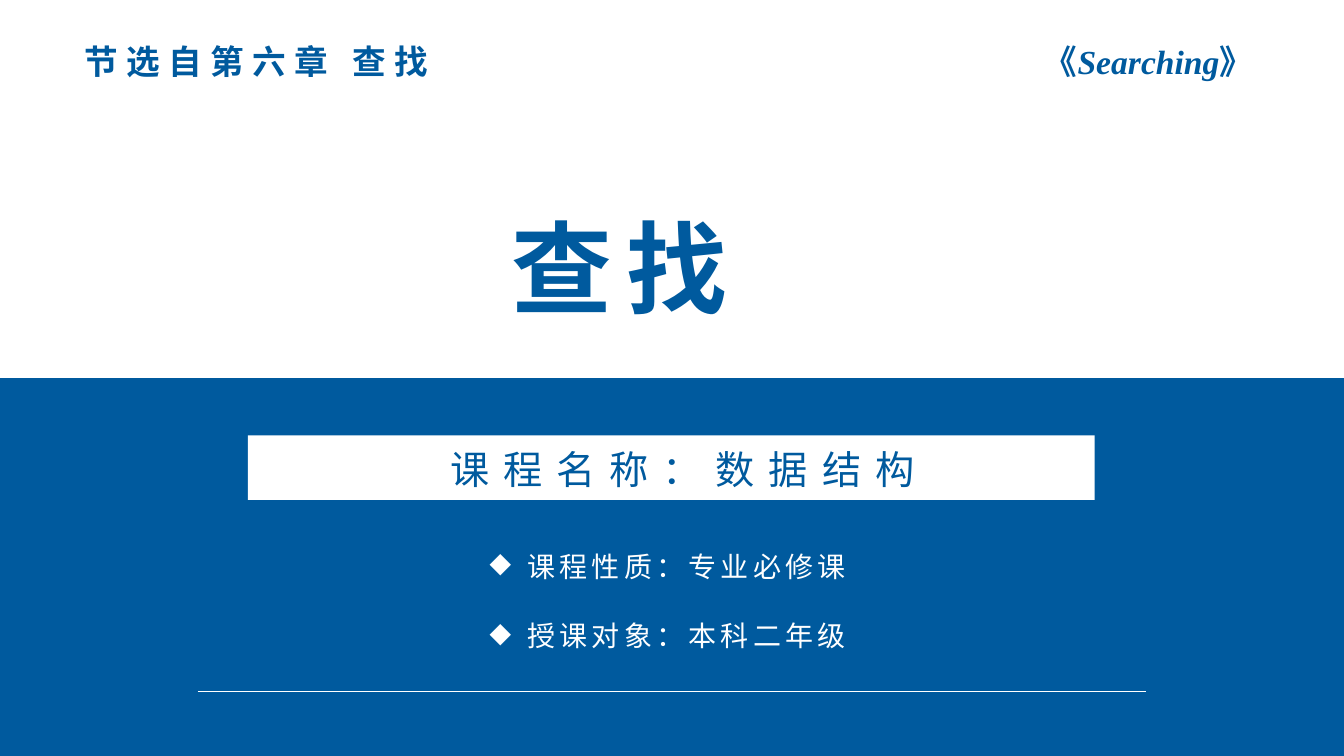
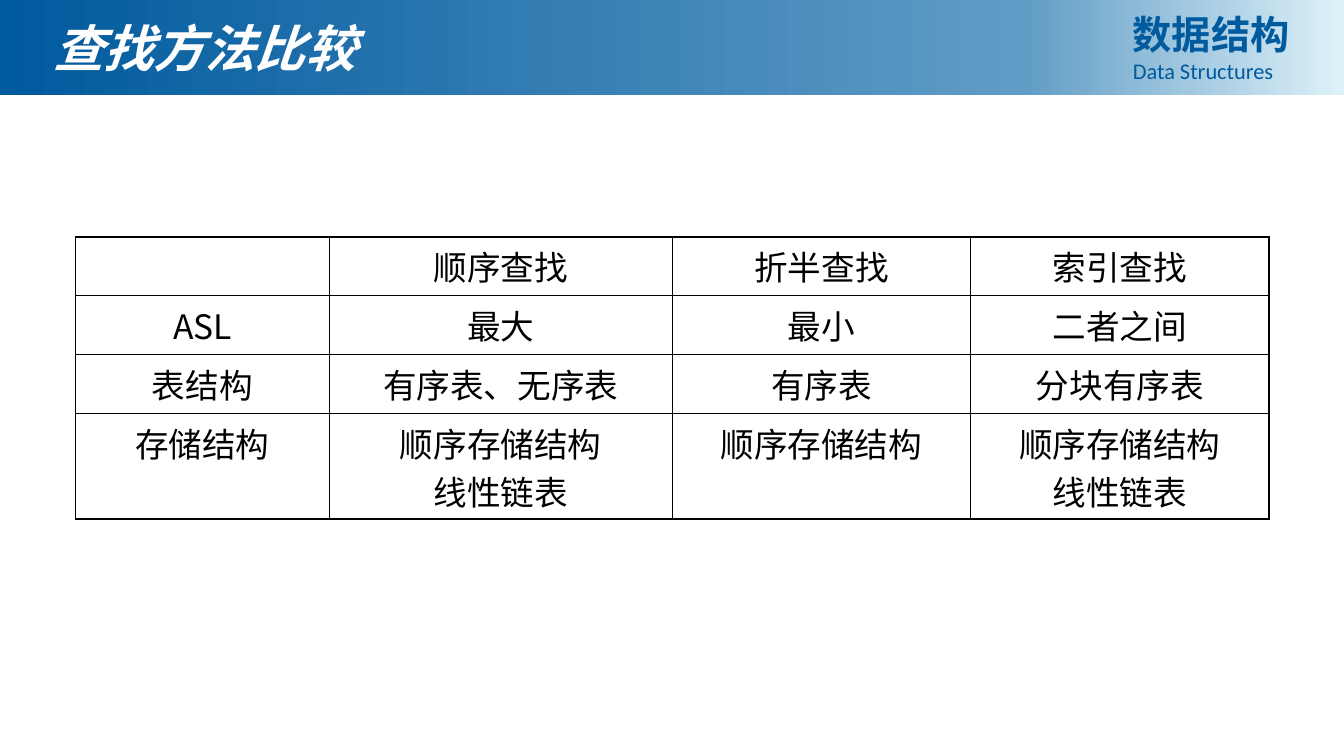
from lxml.etree import SubElement
from copy import deepcopy
from pptx import Presentation
from pptx.dml.color import RGBColor
from pptx.enum.shapes import MSO_CONNECTOR, MSO_SHAPE
from pptx.enum.text import MSO_AUTO_SIZE, PP_ALIGN
from pptx.oxml.ns import qn
from pptx.util import Cm, Pt

BLUE, WHITE, BLACK = "005A9E", "FFFFFF", "000000"
SANS, SERIF, LATIN = "Noto Sans CJK SC", "Times New Roman", "Calibri"
LEFT, CENTER, JUSTIFY = PP_ALIGN.LEFT, PP_ALIGN.CENTER, PP_ALIGN.JUSTIFY
WIDTH, HEIGHT = 33.87, 19.05


def rgb(color):
    return RGBColor.from_string(color)


class Deck:
    def __init__(self):
        self.prs = Presentation()
        self.prs.slide_width, self.prs.slide_height = Cm(WIDTH), Cm(HEIGHT)
        self.s = None

    def slide(self):
        self.s = self.prs.slides.add_slide(self.prs.slide_layouts[6])

    def style(self, r, size, color=BLUE, font=SANS, bold=False, italic=False, spacing=0):
        f = r.font
        f.size, f.bold, f.italic, f.name = Pt(size), bold, italic, font
        f.color.rgb = rgb(color)
        rPr = r._r.get_or_add_rPr()
        SubElement(rPr, qn("a:ea")).set("typeface", SANS)
        if spacing:
            rPr.set("spc", str(spacing * 100))

    def rect(self, x, y, w, h, color):
        sp = self.s.shapes.add_shape(MSO_SHAPE.RECTANGLE, Cm(x), Cm(y), Cm(w), Cm(h))
        sp.shadow.inherit = False
        sp.line.fill.background()
        sp.fill.solid()
        sp.fill.fore_color.rgb = rgb(color)
        return sp

    def gradient_band(self, x, y, w, h, stops):
        sp = self.rect(x, y, w, h, BLUE)
        sp.fill.gradient()
        sp.fill.gradient_angle = 0
        stop_list = sp.element.find(".//" + qn("a:gsLst"))
        while len(stop_list) < len(stops):
            stop_list.append(deepcopy(stop_list[-1]))
        for stop, (position, color) in zip(sp.fill.gradient_stops, stops):
            stop.position = position
            stop.color.rgb = rgb(color)

    def text(self, x, y, w, h, paragraphs, align=LEFT, bullet=None):
        """Each paragraph is a list of (text, style) runs."""
        tb = self.s.shapes.add_textbox(Cm(x), Cm(y), Cm(w), Cm(h))
        tf = tb.text_frame
        tf.word_wrap = True
        tf.auto_size = MSO_AUTO_SIZE.SHAPE_TO_FIT_TEXT
        for i, runs in enumerate(paragraphs):
            p = tf.add_paragraph() if i else tf.paragraphs[0]
            p.alignment = align
            if bullet:
                pPr = p._p.get_or_add_pPr()
                pPr.set("marL", str(Cm(0.95)))
                pPr.set("indent", str(-Cm(0.95)))
                SubElement(pPr, qn("a:buChar")).set("char", bullet)
            for content, style in runs:
                r = p.add_run()
                r.text = content
                self.style(r, **style)

    def line(self, x1, y1, x2, y2, color, width=1):
        c = self.s.shapes.add_connector(MSO_CONNECTOR.STRAIGHT, Cm(x1), Cm(y1), Cm(x2), Cm(y2))
        c.line.color.rgb = rgb(color)
        c.line.width = Pt(width)
        SubElement(c.element.spPr, qn("a:effectLst"))

    def border(self, cell, color=BLACK, width=1):
        tcPr = cell._tc.get_or_add_tcPr()
        for i, side in enumerate(("lnL", "lnR", "lnT", "lnB")):
            ln = tcPr.makeelement(qn("a:" + side), {"w": str(Pt(width))})
            fill = SubElement(ln, qn("a:solidFill"))
            SubElement(fill, qn("a:srgbClr")).set("val", color)
            tcPr.insert(i, ln)

    def table(self, x, y, widths, heights, rows, size):
        frame = self.s.shapes.add_table(len(rows), len(widths), Cm(x), Cm(y),
                                        Cm(sum(widths)), Cm(sum(heights)))
        table = frame.table
        table.first_row = table.horz_banding = False
        for column, w in zip(table.columns, widths):
            column.width = Cm(w)
        for row, h, values in zip(table.rows, heights, rows):
            row.height = Cm(h)
            for cell, value in zip(row.cells, values):
                cell.fill.background()
                self.border(cell)
                cell.text_frame.text = value
                for p in cell.text_frame.paragraphs:
                    p.alignment = CENTER
                    for r in p.runs:
                        self.style(r, size, BLACK)

    def header(self, title):
        self.gradient_band(0, 0, WIDTH, 2.39, [(0, BLUE), (0.76, "609CC5"), (1, "DEF1F9")])
        self.text(28.3, 0.13, 4.85, 2.13,
                  [[("数据结构", dict(size=28, bold=True))],
                   [("Data Structures", dict(size=16, font=LATIN))]], JUSTIFY)
        self.text(1.09, 0.3, 14.33, 1.8,
                  [[(title, dict(size=36, color=WHITE, font=SERIF, bold=True, italic=True))]])


def cover(deck):
    deck.slide()
    deck.rect(0, HEIGHT / 2, WIDTH, HEIGHT / 2, BLUE)
    deck.text(12.65, 5.05, 8.56, 3.33,
              [[("查找", dict(size=72, bold=True, spacing=10))]], JUSTIFY)

    # Course facts
    facts = ["课程性质：专业必修课", "授课对象：本科二年级"]
    for i, fact in enumerate(facts):
        deck.text(12.09, 13.72 + 1.75 * i, 10.97, 1.12,
                  [[(fact, dict(size=20, color=WHITE, spacing=3))]], bullet="◆")

    # Course name bar and rule
    deck.rect(6.25, 10.97, 21.34, 1.63, WHITE)
    deck.line(4.98, 17.42, 28.88, 17.42, WHITE)
    deck.text(8.33, 11.1, 17.73, 1.45,
              [[("课程名称：数据结构", dict(size=28, spacing=10))]], CENTER)

    # Chapter labels
    label = dict(size=24, font=SERIF, bold=True)
    deck.text(1.27, 0.91, 10.39, 1.27,
              [[("节选自第六章 查找", dict(label, spacing=6))]], CENTER)
    deck.text(26.06, 0.91, 6.6, 1.27,
              [[("《", label), ("Searching", dict(label, italic=True)), ("》", label)]], JUSTIFY)


def comparison(deck):
    deck.slide()
    deck.header("查找方法比较")
    rows = [
        ["", "顺序查找", "折半查找", "索引查找"],
        ["ASL", "最大", "最小", "二者之间"],
        ["表结构", "有序表、无序表", "有序表", "分块有序表"],
        ["存储结构", "顺序存储结构\n线性链表", "顺序存储结构", "顺序存储结构\n线性链表"],
    ]
    deck.table(1.9, 5.97, [6.4, 8.64, 7.52, 7.52], [1.48, 1.48, 1.48, 2.67], rows, 24)


def main():
    deck = Deck()
    cover(deck)
    comparison(deck)
    deck.prs.save("out.pptx")


if __name__ == "__main__":
    main()
